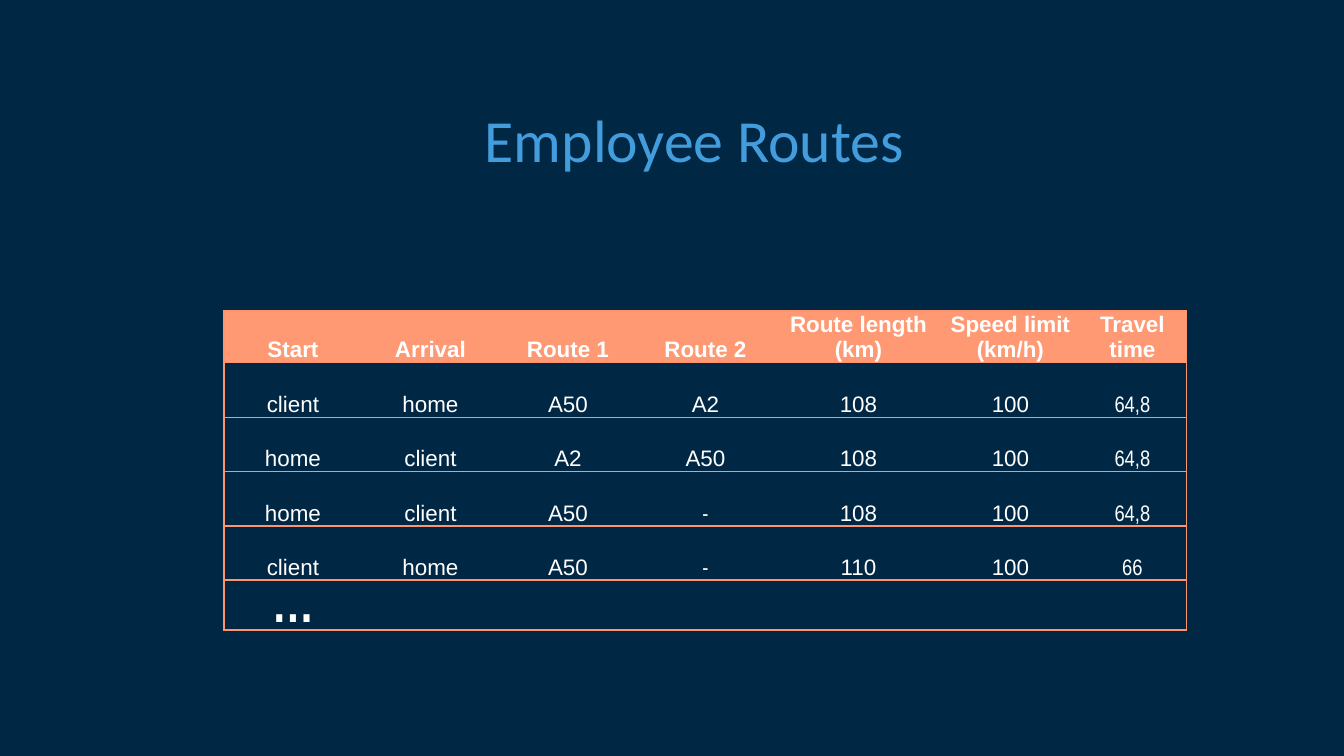
from lxml import etree
from pptx import Presentation
from pptx.dml.color import RGBColor
from pptx.enum.text import MSO_ANCHOR, PP_ALIGN
from pptx.oxml.ns import qn
from pptx.util import Pt

PX = 914400 / 134.4
CENTER = PP_ALIGN.CENTER
TOP, BOTTOM = MSO_ANCHOR.TOP, MSO_ANCHOR.BOTTOM

COLORS = {
    "background": "002845",
    "title": "439DDD",
    "header": "FF9973",
    "border": "FD946D",
    "text": "FFFFFF",
}
HEADINGS = ["Start", "Arrival", "Route 1", "Route 2",
            "Route length (km)", "Speed limit (km/h)", "Travel time"]
ROUTES = [
    ["client", "home", "A50", "A2", "108", "100", "64,8"],
    ["home", "client", "A2", "A50", "108", "100", "64,8"],
    ["home", "client", "A50", "-", "108", "100", "64,8"],
    ["client", "home", "A50", "-", "110", "100", "66"],
    ["…", "", "", "", "", "", ""],
]
COLUMN_WIDTHS = [138, 137, 138, 137, 169, 135, 109]
ROW_HEIGHTS = [51, 55, 54, 55, 54, 50]


def px(length):
    return round(length * PX)


def rgb(name):
    return RGBColor.from_string(COLORS[name])


class SlideBuilder:
    def __init__(self, page):
        self.page = page
        fill = page.background.fill
        fill.solid()
        fill.fore_color.rgb = rgb("background")

    def style(self, paragraph, font, size, color, bold=False):
        paragraph.alignment = CENTER
        paragraph.font.name = font
        paragraph.font.size = Pt(size)
        paragraph.font.bold = bold
        paragraph.font.color.rgb = rgb(color)

    def title(self, text, left, top, width, height):
        box = self.page.shapes.add_textbox(px(left), px(top), px(width), px(height))
        frame = box.text_frame
        frame.word_wrap = True
        frame.vertical_anchor = TOP
        frame.margin_left = frame.margin_right = px(13)
        frame.margin_top = frame.margin_bottom = px(13)
        paragraph = frame.paragraphs[0]
        paragraph.text = text
        self.style(paragraph, "Calibri", 32, "title")

    def borders(self, cell, visible):
        properties = cell._tc.get_or_add_tcPr()
        for position, side in enumerate("LRTB"):
            line = etree.Element(qn(f"a:ln{side}"), w=str(Pt(0.75)))
            if side in visible:
                fill = etree.SubElement(line, qn("a:solidFill"))
                etree.SubElement(fill, qn("a:srgbClr"), val=COLORS["border"])
            else:
                etree.SubElement(line, qn("a:noFill"))
            properties.insert(position, line)

    def cell(self, cell, text, is_header, visible):
        cell.margin_left = cell.margin_right = cell.margin_top = px(1)
        cell.margin_bottom = 0
        cell.vertical_anchor = BOTTOM
        if is_header:
            cell.fill.solid()
            cell.fill.fore_color.rgb = rgb("header")
        else:
            cell.fill.background()
        self.borders(cell, visible)
        paragraph = cell.text_frame.paragraphs[0]
        paragraph.text = text
        is_ellipsis = text == "…"
        is_narrow = is_ellipsis or text == "-" or "," in text or text == "66"
        self.style(paragraph, "Arial Narrow" if is_narrow else "Arial",
                   28 if is_ellipsis else 12, "text", is_header or is_ellipsis)
        if is_ellipsis:
            paragraph.line_spacing = 0.8

    def table(self, rows, left, top, widths, heights):
        frame = self.page.shapes.add_table(
            len(rows), len(widths), px(left), px(top), px(sum(widths)), px(sum(heights)))
        table = frame.table
        table.first_row = table.horz_banding = False
        for column, width in zip(table.columns, widths):
            column.width = px(width)
        for row, height in zip(table.rows, heights):
            row.height = px(height)
        last = len(widths) - 1
        for row_index, texts in enumerate(rows):
            for column_index, text in enumerate(texts):
                visible = "TB" + "L" * (column_index == 0) + "R" * (column_index == last)
                self.cell(table.cell(row_index, column_index), text, row_index == 0, visible)


def main():
    deck = Presentation()
    deck.slide_width, deck.slide_height = px(1344), px(756)
    builder = SlideBuilder(deck.slides.add_slide(deck.slide_layouts[6]))
    builder.table([HEADINGS] + ROUTES, 224, 311, COLUMN_WIDTHS, ROW_HEIGHTS)
    builder.title("Employee Routes", 90, 90, 1209, 79)
    deck.save("out.pptx")


if __name__ == "__main__":
    main()
